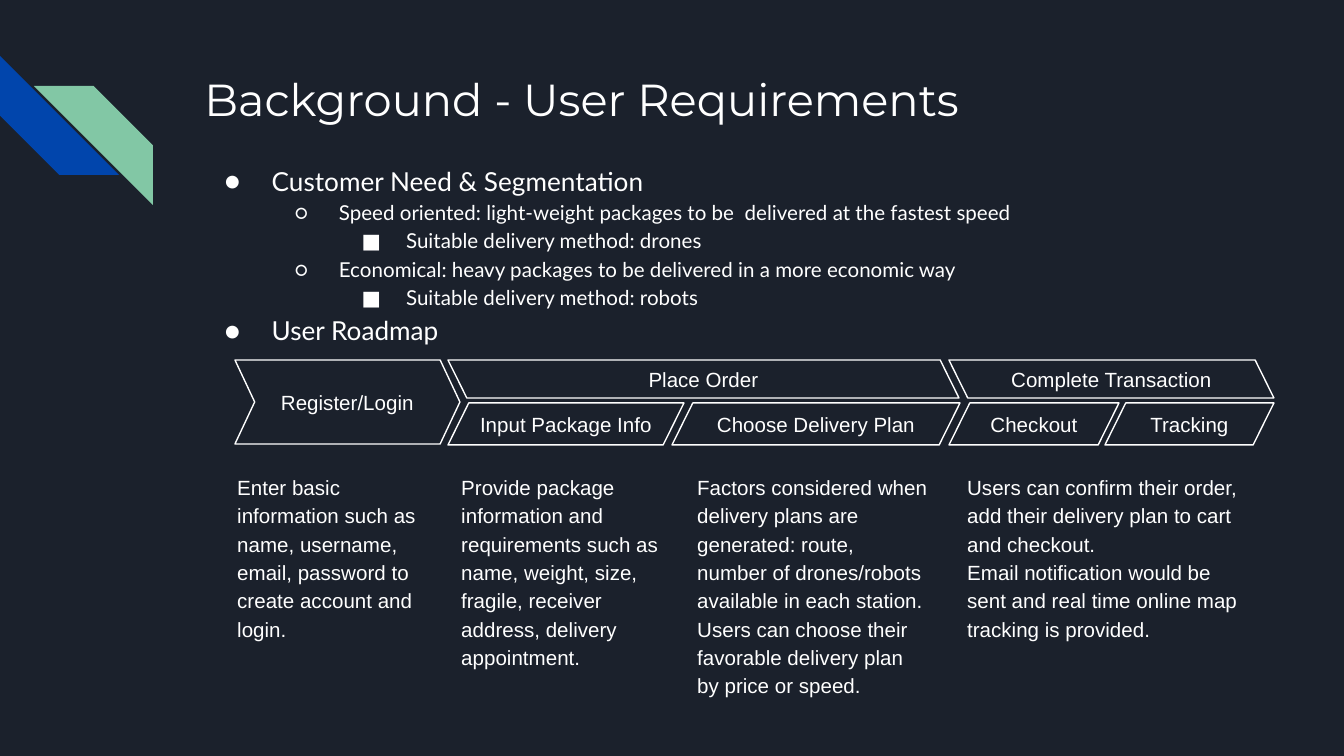
import pptx
import pptx.util
import pptx.dml.color
import pptx.enum.shapes
import pptx.enum.text
import lxml.etree
import pptx.oxml.ns

RGBColor = pptx.dml.color.RGBColor
NAVY = RGBColor(0x1B, 0x21, 0x2C)
BLUE = RGBColor(0x01, 0x45, 0xAC)
GREEN = RGBColor(0x82, 0xC7, 0xA5)
WHITE = RGBColor(0xFF, 0xFF, 0xFF)
SHAPE = pptx.enum.shapes.MSO_SHAPE
ANCHOR = pptx.enum.text.MSO_ANCHOR
ALIGN = pptx.enum.text.PP_ALIGN
EMU_PER_PX = 914400 / 134.4


def px(*lengths):
    return [pptx.util.Emu(round(n * EMU_PER_PX)) for n in lengths]


def format_text(frame, inset_x, inset_y, anchor, align, size, font, spacing=1.0):
    frame.word_wrap = True
    frame.auto_size = pptx.enum.text.MSO_AUTO_SIZE.NONE
    frame.vertical_anchor = anchor
    frame.margin_left = frame.margin_right = pptx.util.Inches(inset_x)
    frame.margin_top = frame.margin_bottom = pptx.util.Inches(inset_y)
    for paragraph in frame.paragraphs:
        paragraph.alignment = align
        paragraph.line_spacing = spacing
        paragraph.space_before = pptx.util.Pt(0)
        for run in paragraph.runs:
            run.font.size = pptx.util.Pt(size)
            run.font.name = font
            run.font.color.rgb = WHITE


prs = pptx.Presentation()
prs.slide_width, prs.slide_height = px(1344, 756)
slide = prs.slides.add_slide(prs.slide_layouts[1])
slide.background.fill.solid()
slide.background.fill.fore_color.rgb = NAVY

# Corner stripes
for left, top, color, rotation, flip in [(0, 56, BLUE, 270, False), (34, 86, GREEN, 0, True)]:
    stripe = slide.shapes.add_shape(SHAPE.DIAGONAL_STRIPE, *px(left, top, 119, 119))
    stripe.adjustments[0] = 0.5
    stripe.rotation = rotation
    if flip:
        stripe._element.spPr.xfrm.set("flipH", "1")
    stripe.shadow.inherit = False
    stripe.fill.solid()
    stripe.fill.fore_color.rgb = color
    stripe.line.fill.background()

# Title
title = slide.shapes.title
title.left, title.top, title.width, title.height = px(191, 58, 1035, 101)
title.text_frame.text = "Background - User Requirements"
format_text(title.text_frame, 0.1, 0.1, ANCHOR.TOP, ALIGN.LEFT, 24, "Montserrat")

# Requirements list: level and wording
requirements = [
    (0, "Customer Need & Segmentation"),
    (1, "Speed oriented: light-weight packages to be  delivered at the fastest speed"),
    (2, "Suitable delivery method: drones"),
    (1, "Economical: heavy packages to be delivered in a more economic way"),
    (2, "Suitable delivery method: robots"),
    (0, "User Roadmap"),
]
body = slide.placeholders[1]
body.left, body.top, body.width, body.height = px(191, 147, 907, 210)
body.text_frame.text = "\n".join(wording for level, wording in requirements)
format_text(body.text_frame, 0.1, 0.1, ANCHOR.TOP, ALIGN.LEFT, 11, "Lato", 1.15)
for paragraph, (level, wording) in zip(body.text_frame.paragraphs, requirements):
    paragraph.level = level
    properties = paragraph._p.get_or_add_pPr()
    properties.set("marL", str(pptx.util.Inches(0.5 * (level + 1))))
    properties.set("indent", str(pptx.util.Inches(-0.33 if level else -0.35)))
    bullet_color = lxml.etree.SubElement(properties, pptx.oxml.ns.qn("a:buClr"))
    lxml.etree.SubElement(bullet_color, pptx.oxml.ns.qn("a:srgbClr"), val=str(WHITE))
    lxml.etree.SubElement(properties, pptx.oxml.ns.qn("a:buFont"), typeface="Lato")
    lxml.etree.SubElement(properties, pptx.oxml.ns.qn("a:buChar"), char="●○■"[level])
    if level == 0:
        paragraph.runs[0].font.size = pptx.util.Pt(14)

# Roadmap: phases lean one way, their steps the other
PHASE_TOP, PHASE_HEIGHT = 360, 38
STEP_TOP, STEP_HEIGHT = 403, 42
PHASE = (SHAPE.PARALLELOGRAM, 0.495, True, 0.1, PHASE_TOP, PHASE_HEIGHT)
STEP = (SHAPE.PARALLELOGRAM, 0.495, False, 0, STEP_TOP, STEP_HEIGHT)
LOGIN = (SHAPE.CHEVRON, 0.235, False, 0.1, PHASE_TOP, 84)
roadmap = [
    ("Register/Login", LOGIN, 235, 225),
    ("Place Order", PHASE, 448, 511),
    ("Input Package Info", STEP, 448, 236),
    ("Choose Delivery Plan", STEP, 672, 288),
    ("Complete Transaction", PHASE, 949, 325),
    ("Checkout", STEP, 949, 170),
    ("Tracking", STEP, 1105, 169),
]
for label, (preset, slant, flip, inset, top, height), left, width in roadmap:
    stage = slide.shapes.add_shape(preset, *px(left, top, width, height))
    stage.adjustments[0] = slant
    if flip:
        stage._element.spPr.xfrm.set("flipH", "1")
    stage.shadow.inherit = False
    stage.fill.background()
    stage.line.color.rgb = WHITE
    stage.line.width = pptx.util.Pt(0.75)
    stage.text_frame.text = label
    format_text(stage.text_frame, inset, 0.05, ANCHOR.MIDDLE, ALIGN.CENTER, 11, "Arial")

# Explanations under the roadmap
explanations = [
    (224, 224, 195, "Enter basic information such as name, username, email, password to "
                    "create account and login."),
    (448, 235, 223, "Provide package information and requirements such as name, weight, "
                    "size, fragile, receiver address, delivery appointment."),
    (684, 258, 281, "Factors considered when delivery plans are generated: route, number of "
                    "drones/robots available in each station. Users can choose their "
                    "favorable delivery plan by price or speed."),
    (954, 309, 223, "Users can confirm their order, add their delivery plan to cart and "
                    "checkout.\nEmail notification would be sent and real time online map "
                    "tracking is provided."),
]
for left, width, height, wording in explanations:
    explanation = slide.shapes.add_textbox(*px(left, 458, width, height))
    explanation.text_frame.text = wording
    format_text(explanation.text_frame, 0.1, 0.1, ANCHOR.TOP, ALIGN.LEFT, 11, "Arial", 1.15)

prs.save("out.pptx")
